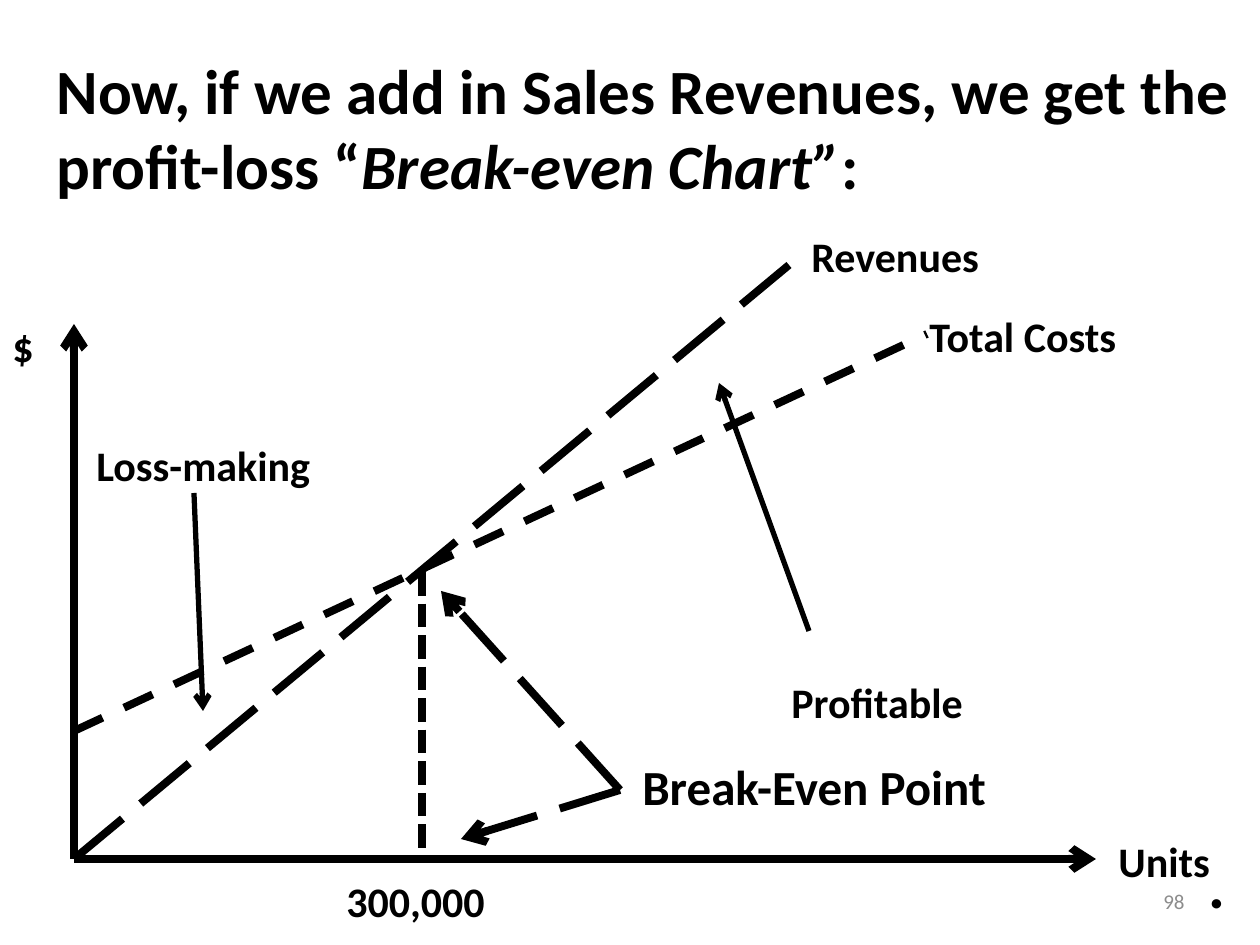
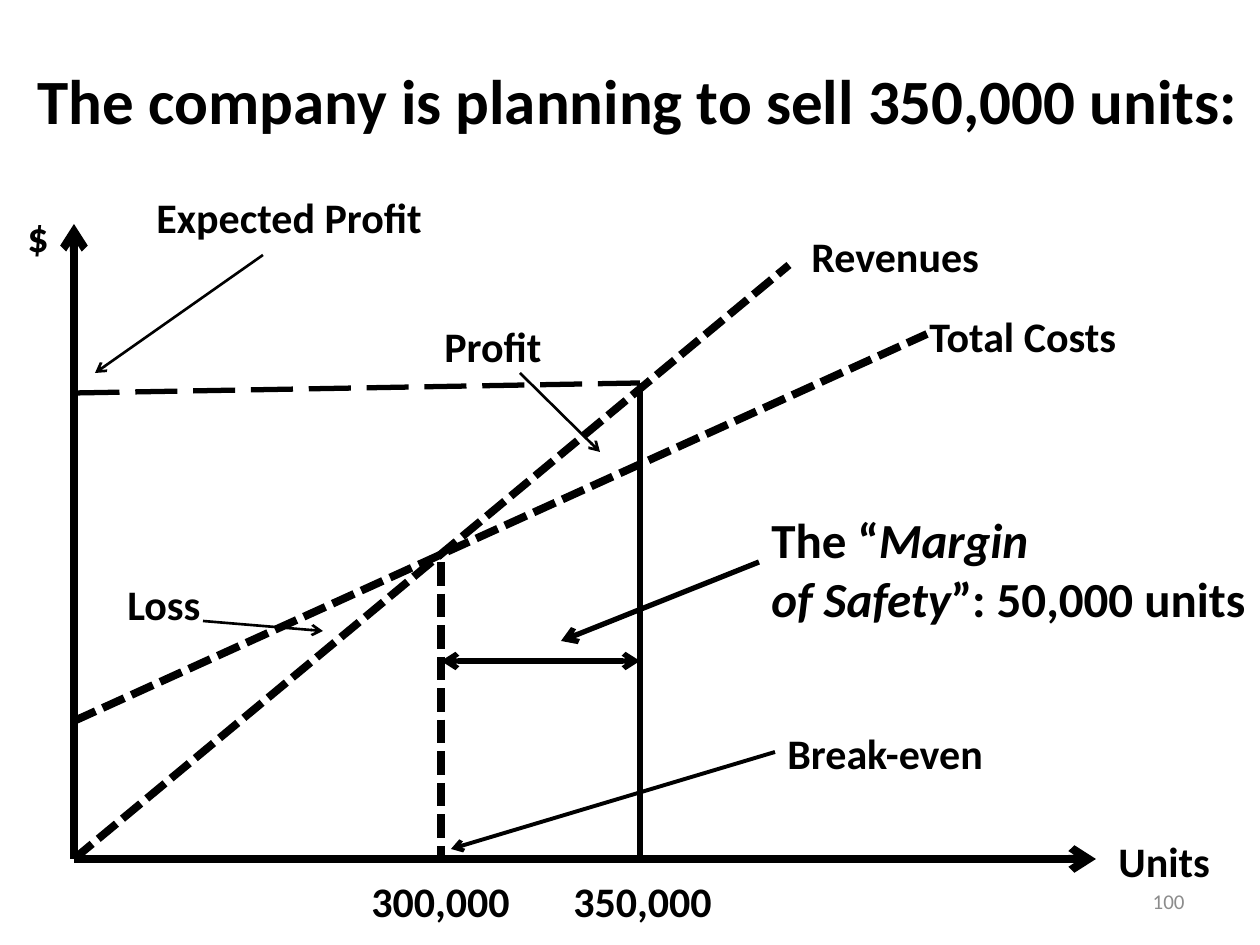
from lxml.etree import SubElement
from pptx import Presentation
from pptx.dml.color import RGBColor
from pptx.enum.dml import MSO_LINE
from pptx.enum.shapes import MSO_CONNECTOR
from pptx.enum.text import MSO_ANCHOR, MSO_AUTO_SIZE, PP_ALIGN
from pptx.oxml.ns import qn
from pptx.util import Inches, Pt

BLACK = RGBColor(0x00, 0x00, 0x00)
GRAY = RGBColor(0x8C, 0x8C, 0x8C)
FONT = "Calibri"
LONG, DASH, SHORT = MSO_LINE.LONG_DASH, MSO_LINE.DASH, MSO_LINE.SQUARE_DOT
PX_PER_INCH = 126
CHART_BOX = (74, 224, 1022, 635)
NUMBER_BOX = (903, 876, 294, 50)


def px(n):
    return Inches(n / PX_PER_INCH)


def write(tf, lines, size, color=BLACK, bold=True, align=PP_ALIGN.LEFT):
    for i, line in enumerate(lines):
        p = tf.paragraphs[0] if i == 0 else tf.add_paragraph()
        p.alignment = align
        for text, italic in line:
            r = p.add_run()
            r.text = text
            style = {"name": FONT, "size": Pt(size), "bold": bold, "italic": italic}
            for key, value in style.items():
                setattr(r.font, key, value)
            r.font.color.rgb = color


def add_title(s, box, lines):
    sp = s.shapes.title
    for key, value in zip(("left", "top", "width", "height"), box):
        setattr(sp, key, px(value))
    tf = sp.text_frame
    frame = {"word_wrap": True, "auto_size": MSO_AUTO_SIZE.NONE,
             "vertical_anchor": MSO_ANCHOR.TOP}
    for key, value in frame.items():
        setattr(tf, key, value)
    write(tf, lines, 36)


def add_number(s, box, number):
    tf = s.shapes.add_textbox(*map(px, box)).text_frame
    tf.word_wrap = True
    tf.vertical_anchor = MSO_ANCHOR.MIDDLE
    write(tf, [[(str(number), False)]], 12, GRAY, False, PP_ALIGN.RIGHT)


def add_label(s, box, x, y, w, text, size=24, h=63, wrap=False):
    lines = [[(text, False)]] if isinstance(text, str) else text
    sp = s.shapes.add_textbox(px(box[0] + x), px(box[1] + y), px(w), px(h))
    tf = sp.text_frame
    tf.word_wrap = wrap
    tf.auto_size = MSO_AUTO_SIZE.SHAPE_TO_FIT_TEXT
    write(tf, lines, size)


def add_line(s, box, start, end, width=4.5, dash=None, ends=()):
    left, top = box[:2]
    points = (left + start[0], top + start[1], left + end[0], top + end[1])
    sp = s.shapes.add_connector(MSO_CONNECTOR.STRAIGHT, *map(px, points))
    sp.line.color.rgb = BLACK
    sp.line.width = Pt(width)
    if dash:
        sp.line.dash_style = dash
    ln = sp.line._get_or_add_ln()
    for end_name in ends:
        SubElement(ln, qn(f"a:{end_name}"), type="arrow")
    SubElement(ln.getparent(), qn("a:effectLst"))


def add_arrow(s, box, start, end, width=3, dash=None):
    add_line(s, box, start, end, width, dash, ("tailEnd",))


def draw_cost_chart(s, box, axis_top, cost_start, break_even, cost_dash, revenue_dash):
    w, h = box[2:]
    add_arrow(s, box, (0, h), (0, axis_top), 4.5)
    add_arrow(s, box, (0, h), (w, h), 4.5)
    add_line(s, box, (0, cost_start), (853, 110), dash=cost_dash)
    add_line(s, box, (0, h), (715, 41), dash=revenue_dash)
    add_line(s, box, break_even, (break_even[0], h), dash=SHORT)
    add_label(s, box, 725, 0, 195, "Revenues")
    add_label(s, box, 843, 80, 214, "Total Costs")
    add_label(s, box, w + 10, h - 30, 118, "Units")


def break_even_slide(s, box):
    add_title(s, (44, 45, 1210, 165), [
        [("Now, if we add in Sales Revenues, we get the", False)],
        [("profit-loss “", False), ("Break-even Chart”", True), (":", False)],
    ])
    draw_cost_chart(s, box, 100, 507, (348, 348), DASH, LONG)
    add_arrow(s, box, (735, 407), (645, 159))
    add_arrow(s, box, (120, 269), (129, 487))
    for target in ((367, 367), (387, 615)):
        add_arrow(s, box, (546, 566), target, 4.5, LONG)
    add_label(s, box, 705, 446, 199, "Profitable")
    add_label(s, box, 10, 209, 242, "Loss-making")
    add_label(s, box, 556, 526, 375, "Break-Even Point", 28, 72)
    add_label(s, box, -74, 90, 44, "$")
    add_label(s, box, 260, 645, 165, "300,000")
    add_label(s, box, 1122, 615, 43, ".", 36, 89, True)
    add_number(s, NUMBER_BOX, 98)


def margin_of_safety_slide(s, box):
    h = box[3]
    add_title(s, (25, 55, 1259, 89),
              [[("The company is planning to sell 350,000 units:", False)]])
    draw_cost_chart(s, box, 0, 497, (367, 338), SHORT, SHORT)
    add_line(s, box, (566, 159), (566, h), 3)
    add_line(s, box, (566, 159), (0, 169), 3, LONG)
    add_line(s, box, (367, 437), (566, 437), 3, ends=("headEnd", "tailEnd"))
    add_arrow(s, box, (685, 338), (487, 417))
    add_arrow(s, box, (701, 528), (377, 625), 2.25)
    for start, end in (((129, 397), (249, 407)),
                       ((446, 149), (526, 228)),
                       ((189, 31), (21, 149))):
        add_arrow(s, box, start, end, 1.5)
    add_label(s, box, 685, 279, 525, [
        [("The “", False), ("Margin", True)],
        [("of Safety", True), ("”: 50,000 units", False)],
    ], 28, 131, True)
    add_label(s, box, 358, 90, 123, "Profit")
    add_label(s, box, 41, 348, 100, "Loss")
    add_label(s, box, 70, -39, 294, "Expected Profit")
    add_label(s, box, 701, 497, 242, "Break-even", wrap=True)
    add_label(s, box, 285, 645, 165, "300,000")
    add_label(s, box, 487, 645, 169, "350,000", wrap=True)
    add_label(s, box, -59, -20, 47, "$")
    add_number(s, NUMBER_BOX, 100)


def main():
    prs = Presentation()
    prs.slide_width, prs.slide_height = Inches(10), Inches(7.5)
    for draw in (break_even_slide, margin_of_safety_slide):
        draw(prs.slides.add_slide(prs.slide_layouts[5]), CHART_BOX)
    prs.save("out.pptx")


if __name__ == "__main__":
    main()
